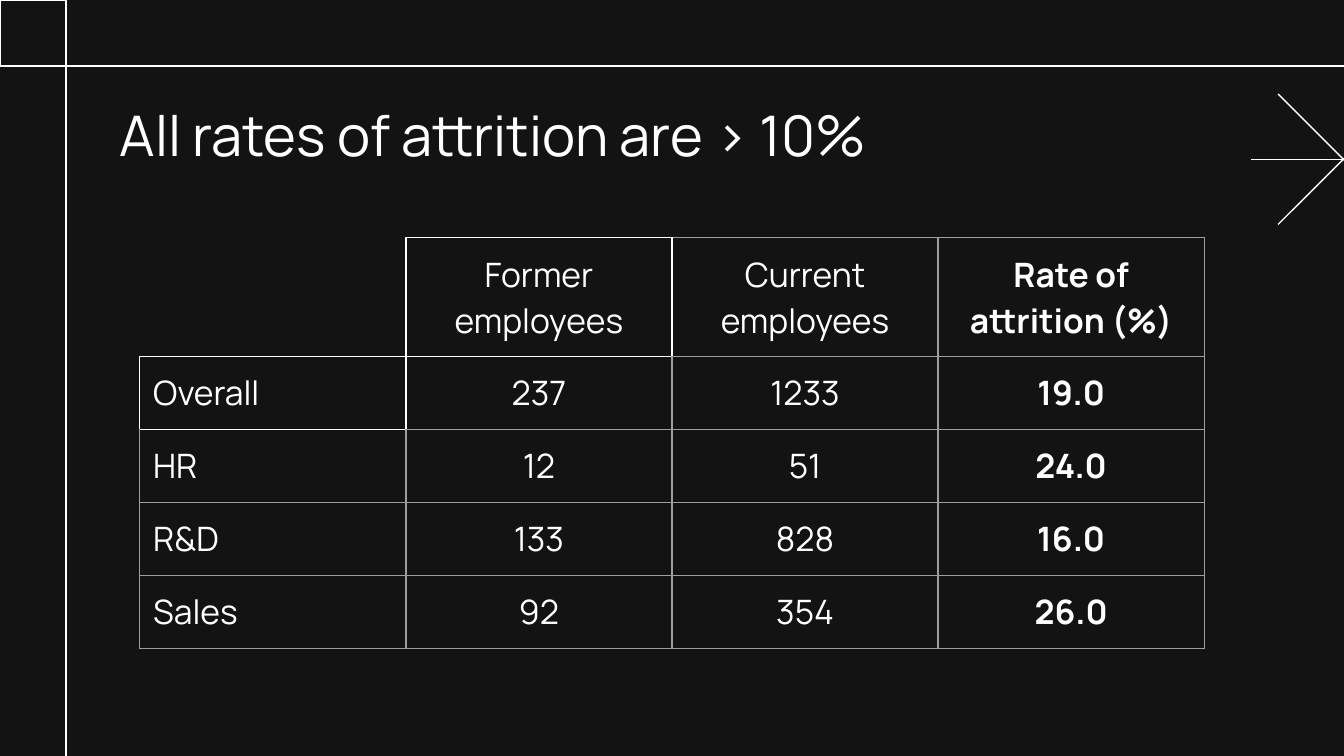
from lxml import etree
from pptx import Presentation
from pptx.dml.color import RGBColor
from pptx.enum import shapes as kinds, text as txt
from pptx.oxml import ns
from pptx.util import Inches, Pt

HUES = {"back": "131313", "ink": "FFFFFF", "grid": "9E9E9E"}
FACE = "Manrope"
THIN = Pt(0.75)
PAD = Inches(0.1)
WIDE = 10
HIGH = WIDE * 9 / 16

ROWS = [
    ["", "Former employees", "Current employees", "Rate of attrition (%)"],
    ["Overall", "237", "1233", "19.0"],
    ["HR", "12", "51", "24.0"],
    ["R&D", "133", "828", "16.0"],
    ["Sales", "92", "354", "26.0"],
]
BRIGHT = {(0, 1), (1, 0)}  # cells with a white outline
SIDES = {"L": (0, -1), "R": (0, 1), "T": (-1, 0), "B": (1, 0)}


def hue(name):
    return RGBColor.from_string(HUES[name])


def put(item, **vals):
    for name, val in vals.items():
        setattr(item, name, val)


def add_line(slide, x1, y1, x2, y2):
    line = slide.shapes.add_connector(
        kinds.MSO_CONNECTOR.STRAIGHT, *map(Inches, (x1, y1, x2, y2)))
    line.line.width = THIN
    line.line.color.rgb = hue("ink")
    etree.SubElement(line._element.spPr, ns.qn("a:effectLst"))


def write(frame, words, size, bold=False, align=txt.PP_ALIGN.LEFT):
    put(frame, text=words, word_wrap=True)
    par = frame.paragraphs[0]
    par.alignment = align
    for run in par.runs:
        put(run.font, name=FACE, size=Pt(size), bold=bold)
        run.font.color.rgb = hue("ink")


def add_frame(slide, side, wide, high):
    # Corner square with the two rules that run from it
    box = slide.shapes.add_shape(
        kinds.MSO_SHAPE.RECTANGLE, 0, 0, Inches(side), Inches(side))
    box.shadow.inherit = False
    box.fill.background()
    box.line.width = THIN
    box.line.color.rgb = hue("ink")
    add_line(slide, 0.43, side, wide, side)
    add_line(slide, side, 0.33, side, high)


def add_arrow(slide, x, y, wide, high):
    # Crossed diagonals and a shaft that bleed off the right edge
    left, right = x + 0.2, x + 1.17
    add_line(slide, right, y, left, y + high)
    add_line(slide, right, y + high, left, y)
    add_line(slide, x, y + high / 2, x + wide, y + high / 2)


def add_title(slide, x, y, wide, high):
    title = slide.shapes.title
    put(title, left=Inches(x), top=Inches(y),
        width=Inches(wide), height=Inches(high))
    frame = title.text_frame
    put(frame, vertical_anchor=txt.MSO_ANCHOR.TOP,
        auto_size=txt.MSO_AUTO_SIZE.NONE, margin_left=PAD,
        margin_right=PAD, margin_top=PAD, margin_bottom=PAD)
    write(frame, "All rates of attrition are > 10%", 30)


def add_edge(cell, side, name):
    edge = etree.SubElement(
        cell._tc.get_or_add_tcPr(), ns.qn("a:ln" + side), w=str(int(THIN)))
    if name is None:
        etree.SubElement(edge, ns.qn("a:noFill"))
        return
    fill = etree.SubElement(edge, ns.qn("a:solidFill"))
    etree.SubElement(fill, ns.qn("a:srgbClr"), val=HUES[name])


def add_grid(slide, x, y, col, row):
    count, span = len(ROWS), len(ROWS[0])
    table = slide.shapes.add_table(
        count, span, Inches(x), Inches(y),
        Inches(col * span), Inches(row * count)).table
    put(table, first_row=False, horz_banding=False)
    for r, vals in enumerate(ROWS):
        for c, words in enumerate(vals):
            cell = table.cell(r, c)
            # An edge is white if either cell beside it is bright
            for side, (down, over) in SIDES.items():
                near = {(r, c), (r + down, c + over)}
                blank = None if (r, c) == (0, 0) else "grid"
                add_edge(cell, side, "ink" if near & BRIGHT else blank)
            cell.fill.background()
            put(cell, margin_left=PAD, margin_right=PAD,
                margin_top=PAD, margin_bottom=PAD)
            align = txt.PP_ALIGN.CENTER if c else txt.PP_ALIGN.LEFT
            write(cell.text_frame, words, 18, c == span - 1, align)


def main():
    deck = Presentation()
    put(deck, slide_width=Inches(WIDE), slide_height=Inches(HIGH))
    slide = deck.slides.add_slide(deck.slide_layouts[5])
    slide.background.fill.solid()
    slide.background.fill.fore_color.rgb = hue("back")
    add_frame(slide, 0.49, 10.08, 5.73)
    add_arrow(slide, 9.31, 0.7, 1.37, 0.97)
    add_title(slide, 0.79, 0.65, 8.43, 0.63)
    add_grid(slide, 1.04, 1.77, 1.98, 0.42)
    deck.save("out.pptx")


if __name__ == "__main__":
    main()
